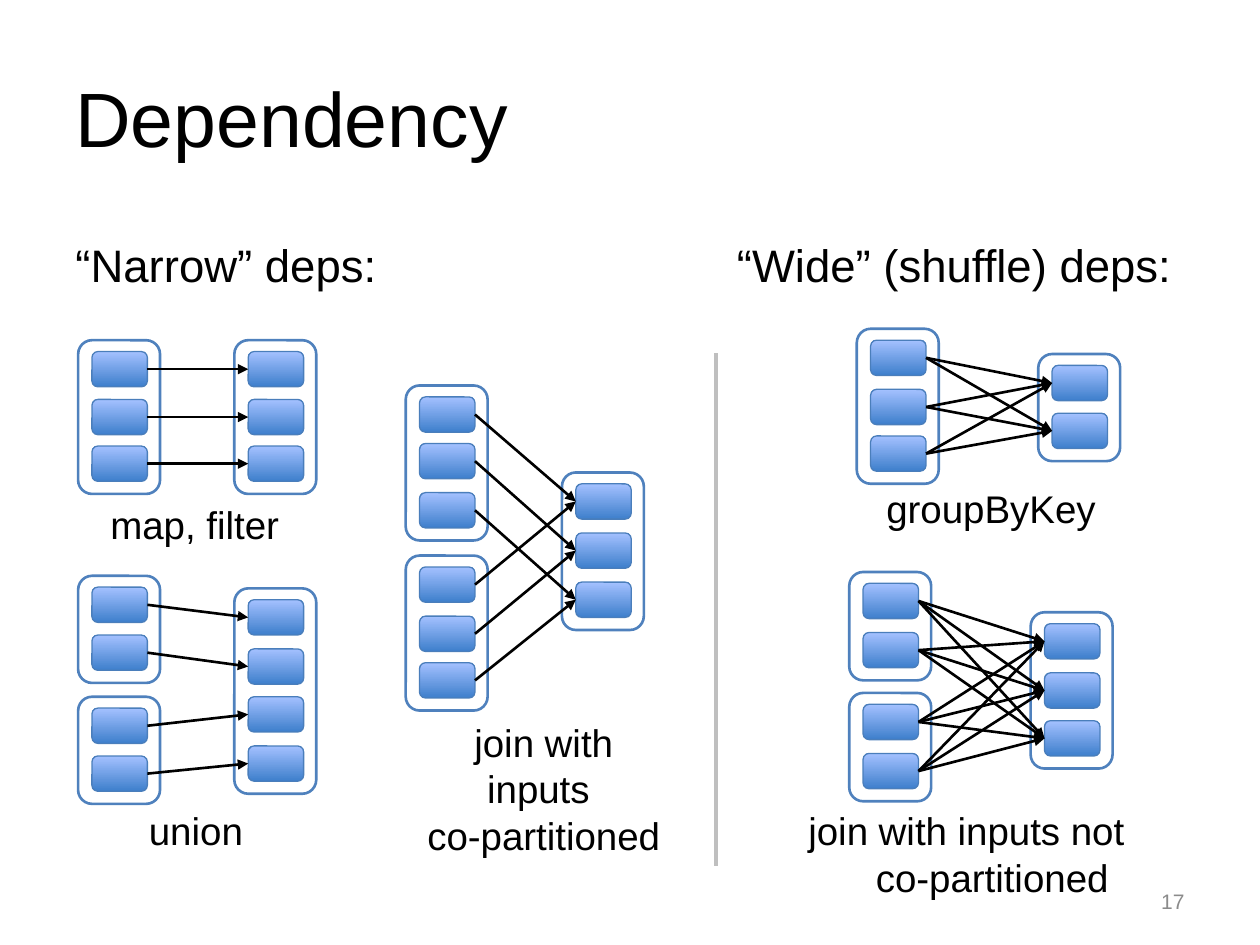
from itertools import product

from pptx import Presentation
from pptx.dml.color import RGBColor
from pptx.enum.shapes import MSO_CONNECTOR, MSO_SHAPE
from pptx.enum.text import MSO_ANCHOR, PP_ALIGN
from pptx.oxml.ns import qn
from pptx.util import Pt
from lxml.etree import SubElement

SCALE = 9144  # EMU per px, 100 px to the inch


def px(n):
    return n * SCALE


def rgb(code):
    return RGBColor.from_string(code)


class Deck:
    font, ink, grey, rule = "Arial", "000000", "8B8B8B", "BFBFBF"
    frame, edge = "4F81BD", "4A7EBB"
    dark, light, white = "3E7FCC", "A4C1FF", "FFFFFF"
    box_w, box_h, frame_w = 44, 28, 65
    side, head, foot = 11, 9, 38  # frame edge to box tops

    def __init__(self, slide):
        self.slide = slide

    def text(self, at, paras, size, align=PP_ALIGN.LEFT, color=ink,
             anchor=MSO_ANCHOR.TOP, wrap=True, sides=(10, 10), hang=0):
        area = self.slide.shapes.add_textbox(*map(px, at))
        frame = area.text_frame
        frame.word_wrap = wrap
        frame.vertical_anchor = anchor
        frame.margin_left, frame.margin_right = map(px, sides)
        frame.margin_top = frame.margin_bottom = px(5)
        for i, lines in enumerate(paras):
            para = frame.add_paragraph() if i else frame.paragraphs[0]
            para.alignment = align
            if hang:
                props = para._p.get_or_add_pPr()
                props.set("marL", str(px(hang)))
                props.set("indent", str(-px(hang)))
            for j, line in enumerate(lines):
                if j:
                    para.add_line_break()
                run = para.add_run()
                run.text = line
                run.font.name, run.font.size = self.font, Pt(size)
                run.font.color.rgb = rgb(color)

    def label(self, at, *paras, **style):
        self.text(at, paras, 22, PP_ALIGN.CENTER, **style)

    def round(self, at, line, width):
        shape = self.slide.shapes.add_shape(
            MSO_SHAPE.ROUNDED_RECTANGLE, *map(px, at))
        shape.adjustments[0] = 0.17
        shape.shadow.inherit = False
        shape.line.color.rgb = rgb(line)
        shape.line.width = Pt(width)
        return shape

    def box(self, left, top):
        shape = self.round((left, top, self.box_w, self.box_h), self.edge, 0.75)
        shape.fill.gradient()
        shape.fill.gradient_angle = 90
        for stop, code in zip(shape.fill.gradient_stops, (self.dark, self.light)):
            stop.color.rgb = rgb(code)
        return shape

    def group(self, left, *tops):
        """Frame a column of boxes and return the boxes."""
        start = tops[0] - self.head
        height = tops[-1] + self.foot - start
        shape = self.round((left, start, self.frame_w, height), self.frame, 1.5)
        shape.fill.solid()
        shape.fill.fore_color.rgb = rgb(self.white)
        return [self.box(left + self.side, top) for top in tops]

    def line(self, ends, color, width):
        link = self.slide.shapes.add_connector(
            MSO_CONNECTOR.STRAIGHT, *map(px, ends))
        link.line.color.rgb = rgb(color)
        link.line.width = Pt(width)
        SubElement(link._element.spPr, qn("a:effectLst"))
        return link

    def arrows(self, pairs):
        for start, end in pairs:
            link = self.line((0, 0, 0, 0), self.ink, 1.5)
            link.begin_connect(start, 3)  # right side
            link.end_connect(end, 1)  # left side
            SubElement(link.line._get_or_add_ln(), qn("a:tailEnd"), type="triangle")


def main():
    prs = Presentation()
    prs.slide_width, prs.slide_height = px(1000), px(750)
    deck = Deck(prs.slides.add_slide(prs.slide_layouts[6]))

    # Title and headings
    deck.text((50, 30, 900, 125), [["Dependency"]], 44, anchor=MSO_ANCHOR.MIDDLE)
    deck.text((50, 183, 259, 53), [["“Narrow” deps:"]], 26, wrap=False)
    deck.text((575, 183, 365, 53), [["“Wide” (shuffle) deps:"]], 26, wrap=False)
    deck.line((568, 687, 568, 280), deck.rule, 2.25)

    # Map, filter
    rows = 279, 317, 354
    deck.arrows(zip(deck.group(62, *rows), deck.group(186, *rows)))
    deck.label((60, 393, 189, 47), ["map, filter"])

    # Union
    parts = deck.group(62, 466, 504) + deck.group(62, 562, 600)
    deck.arrows(zip(parts, deck.group(186, 476, 515, 553, 592)))
    deck.label((60, 636, 191, 47), ["union"])

    # Join, co-partitioned
    upper = deck.group(322, 315, 352, 391)
    lower = deck.group(322, 450, 489, 526)
    joined = deck.group(446, 384, 423, 462)
    deck.arrows(zip(upper + lower, joined * 2))
    deck.label((322, 566, 219, 120), ["join with inputs "], ["co-partitioned"])

    # Group by key
    parts = deck.group(680, 270, 309, 346)
    deck.arrows(product(parts, deck.group(824, 290, 328)))
    deck.label((677, 380, 219, 47), ["groupByKey"])

    # Join, not co-partitioned
    parts = deck.group(674, 463, 502) + deck.group(674, 559, 598)
    deck.arrows(product(parts, deck.group(818, 495, 534, 572)))
    deck.label((633, 636, 311, 83), ["join with inputs not", "co-partitioned"],
               sides=(0, 43), hang=41)

    # Page number
    deck.text((717, 695, 233, 40), [["17"]], 12, PP_ALIGN.RIGHT, deck.grey,
              MSO_ANCHOR.MIDDLE)

    prs.save("out.pptx")


if __name__ == "__main__":
    main()
